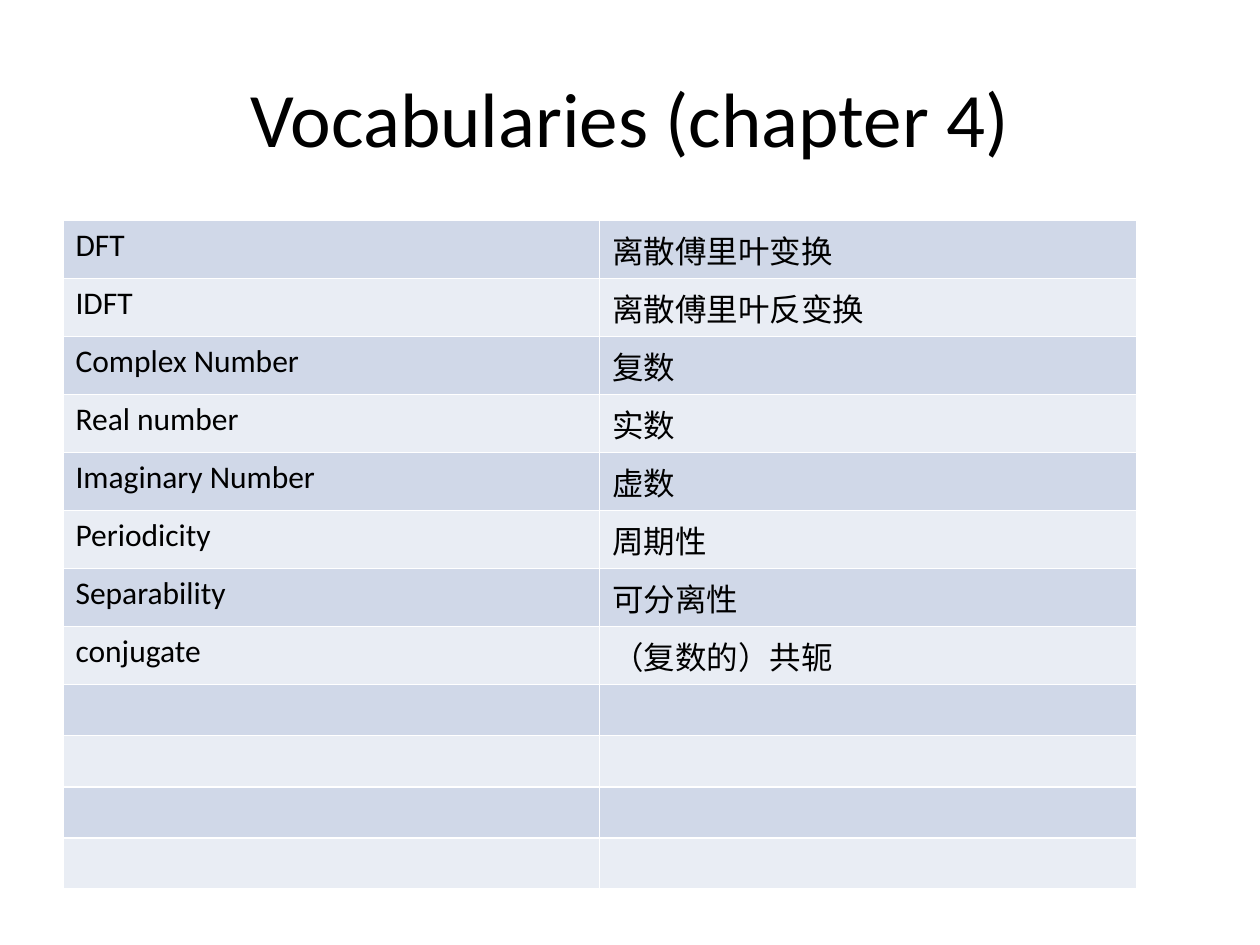
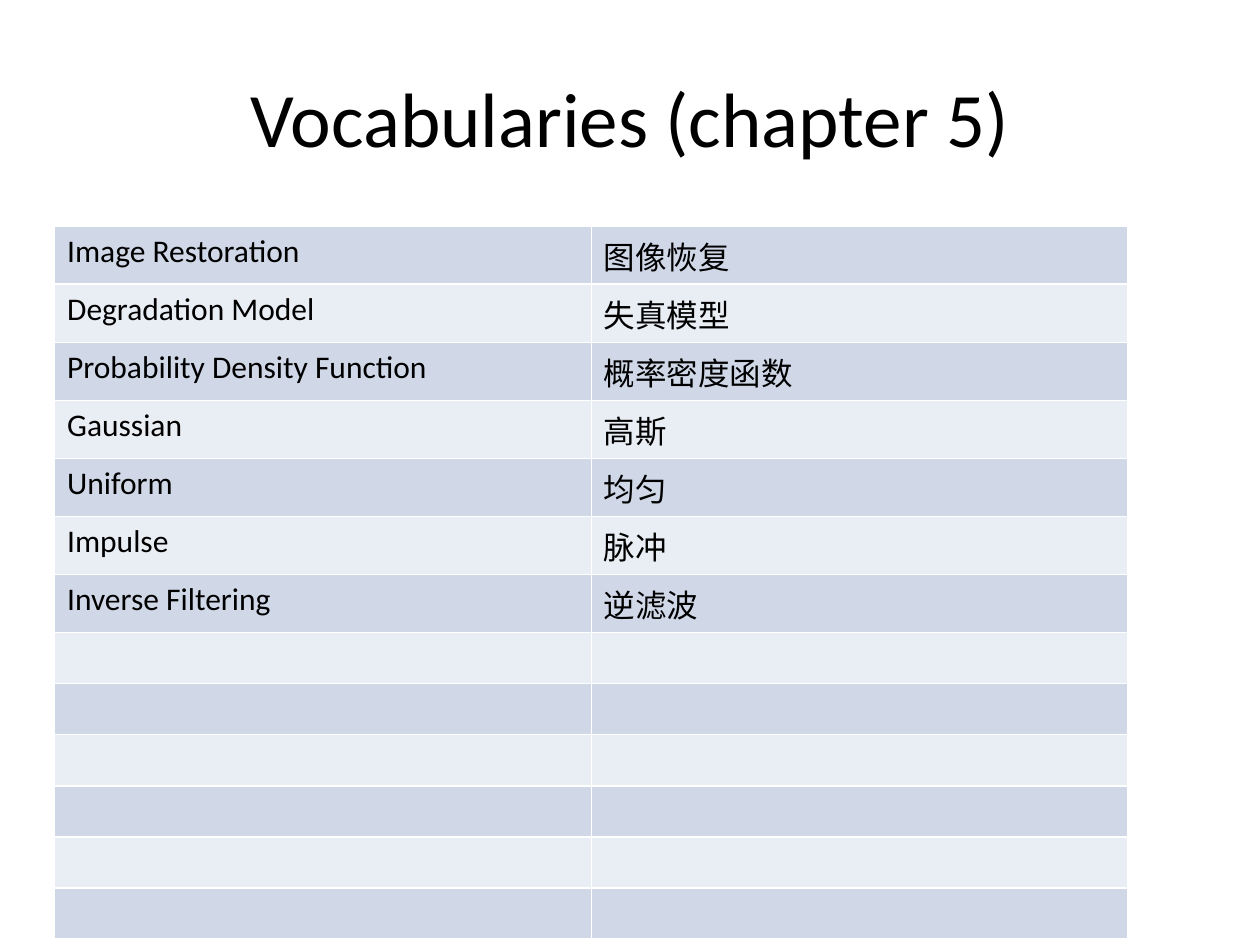
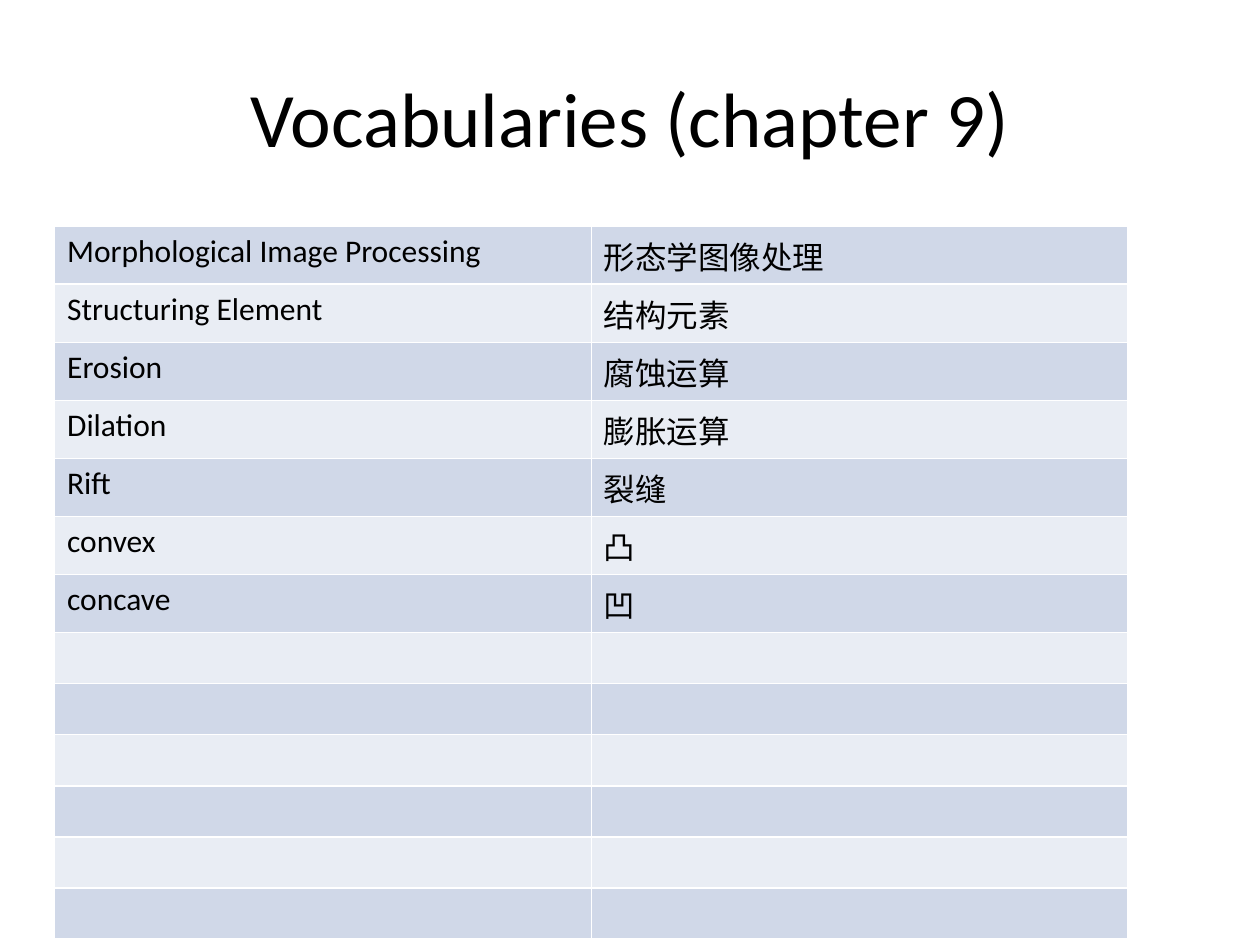
import dataclasses

import pptx
import pptx.dml.color
import pptx.enum.lang
import pptx.enum.text
import pptx.oxml
import pptx.oxml.ns
import pptx.presentation
import pptx.slide
import pptx.table
import pptx.text.text
import pptx.util

Cm = pptx.util.Cm
LANGUAGE = pptx.enum.lang.MSO_LANGUAGE_ID

COLORS = {
    "text": "000000",
    "odd_row": "D0D8E8",
    "even_row": "E9EDF4",
    "grid": "FFFFFF",
}
FONT = "Calibri"
BLANK_LAYOUT = 6
COLUMN_WIDTH = Cm(10.82)
WORD_ROW_HEIGHT = Cm(1.17)
EMPTY_ROW_HEIGHT = Cm(1.03)
GRID_WIDTH = pptx.util.Pt(1)


@dataclasses.dataclass(frozen=True)
class Chapter:
    number: int
    left: pptx.util.Length
    top: pptx.util.Length
    row_count: int
    vocabulary: tuple[tuple[str, str], ...]

    @property
    def row_heights(self) -> list[pptx.util.Length]:
        words = len(self.vocabulary)
        return ([WORD_ROW_HEIGHT] * words
                + [EMPTY_ROW_HEIGHT] * (self.row_count - words))


CHAPTERS = (
    Chapter(4, Cm(1.27), Cm(4.44), 12, (
        ("DFT", "离散傅里叶变换"),
        ("IDFT", "离散傅里叶反变换"),
        ("Complex Number", "复数"),
        ("Real number", "实数"),
        ("Imaginary Number", "虚数"),
        ("Periodicity", "周期性"),
        ("Separability", "可分离性"),
        ("conjugate", "（复数的）共轭"),
    )),
    Chapter(5, Cm(1.1), Cm(4.56), 13, (
        ("Image Restoration", "图像恢复"),
        ("Degradation Model", "失真模型"),
        ("Probability Density Function", "概率密度函数"),
        ("Gaussian", "高斯"),
        ("Uniform", "均匀"),
        ("Impulse", "脉冲"),
        ("Inverse Filtering", "逆滤波"),
    )),
    Chapter(9, Cm(1.1), Cm(4.56), 13, (
        ("Morphological Image Processing", "形态学图像处理"),
        ("Structuring Element", "结构元素"),
        ("Erosion", "腐蚀运算"),
        ("Dilation", "膨胀运算"),
        ("Rift", "裂缝"),
        ("convex", "凸"),
        ("concave", "凹"),
    )),
)


def rgb(color: str) -> pptx.dml.color.RGBColor:
    return pptx.dml.color.RGBColor.from_string(COLORS[color])


def write(
    frame: pptx.text.text.TextFrame,
    text: str,
    *,
    size: float = 18,
    color: str = "text",
    align: pptx.enum.text.PP_ALIGN = pptx.enum.text.PP_ALIGN.LEFT,
    language: pptx.enum.lang.MSO_LANGUAGE_ID = LANGUAGE.ENGLISH_US,
) -> None:
    paragraph = frame.paragraphs[0]
    paragraph.alignment = align
    run = paragraph.add_run()
    run.text = text
    run.font.name = FONT
    run.font.size = pptx.util.Pt(size)
    run.font.color.rgb = rgb(color)
    run.font.language_id = language


def add_title(slide: pptx.slide.Slide, text: str) -> None:
    title = slide.shapes.add_textbox(Cm(1.27), Cm(0.76), Cm(22.86), Cm(3.18))
    frame = title.text_frame
    frame.word_wrap = True
    frame.vertical_anchor = pptx.enum.text.MSO_ANCHOR.MIDDLE
    write(frame, text, size=44, align=pptx.enum.text.PP_ALIGN.CENTER)


def paint_cell(cell: pptx.table._Cell, color: str) -> None:
    """Draw the grid lines around a cell and fill it."""
    properties = cell._tc.get_or_add_tcPr()
    for side in ("lnL", "lnR", "lnT", "lnB"):
        properties.append(pptx.oxml.parse_xml(
            f'<a:{side} {pptx.oxml.ns.nsdecls("a")} w="{GRID_WIDTH}"><a:solidFill>'
            f'<a:srgbClr val="{COLORS["grid"]}"/></a:solidFill></a:{side}>'
        ))
    cell.fill.solid()
    cell.fill.fore_color.rgb = rgb(color)


def add_vocabulary(slide: pptx.slide.Slide, chapter: Chapter) -> None:
    heights = chapter.row_heights
    table = slide.shapes.add_table(
        chapter.row_count, 2, chapter.left, chapter.top,
        COLUMN_WIDTH * 2, sum(heights),
    ).table
    table.first_row = False
    table.horz_banding = False
    for index, (row, height) in enumerate(zip(table.rows, heights)):
        row.height = height
        for cell in row.cells:
            paint_cell(cell, "even_row" if index % 2 else "odd_row")
    for row, (term, translation) in zip(table.rows, chapter.vocabulary):
        term_cell, translation_cell = row.cells
        write(term_cell.text_frame, term)
        write(translation_cell.text_frame, translation,
              language=LANGUAGE.SIMPLIFIED_CHINESE)


def add_chapter(deck: pptx.presentation.Presentation, chapter: Chapter) -> None:
    slide = deck.slides.add_slide(deck.slide_layouts[BLANK_LAYOUT])
    add_title(slide, f"Vocabularies (chapter {chapter.number})")
    add_vocabulary(slide, chapter)


def main() -> None:
    deck = pptx.Presentation()
    deck.slide_width = Cm(25.4)
    deck.slide_height = Cm(19.05)
    for chapter in CHAPTERS:
        add_chapter(deck, chapter)
    deck.save("out.pptx")


if __name__ == "__main__":
    main()
